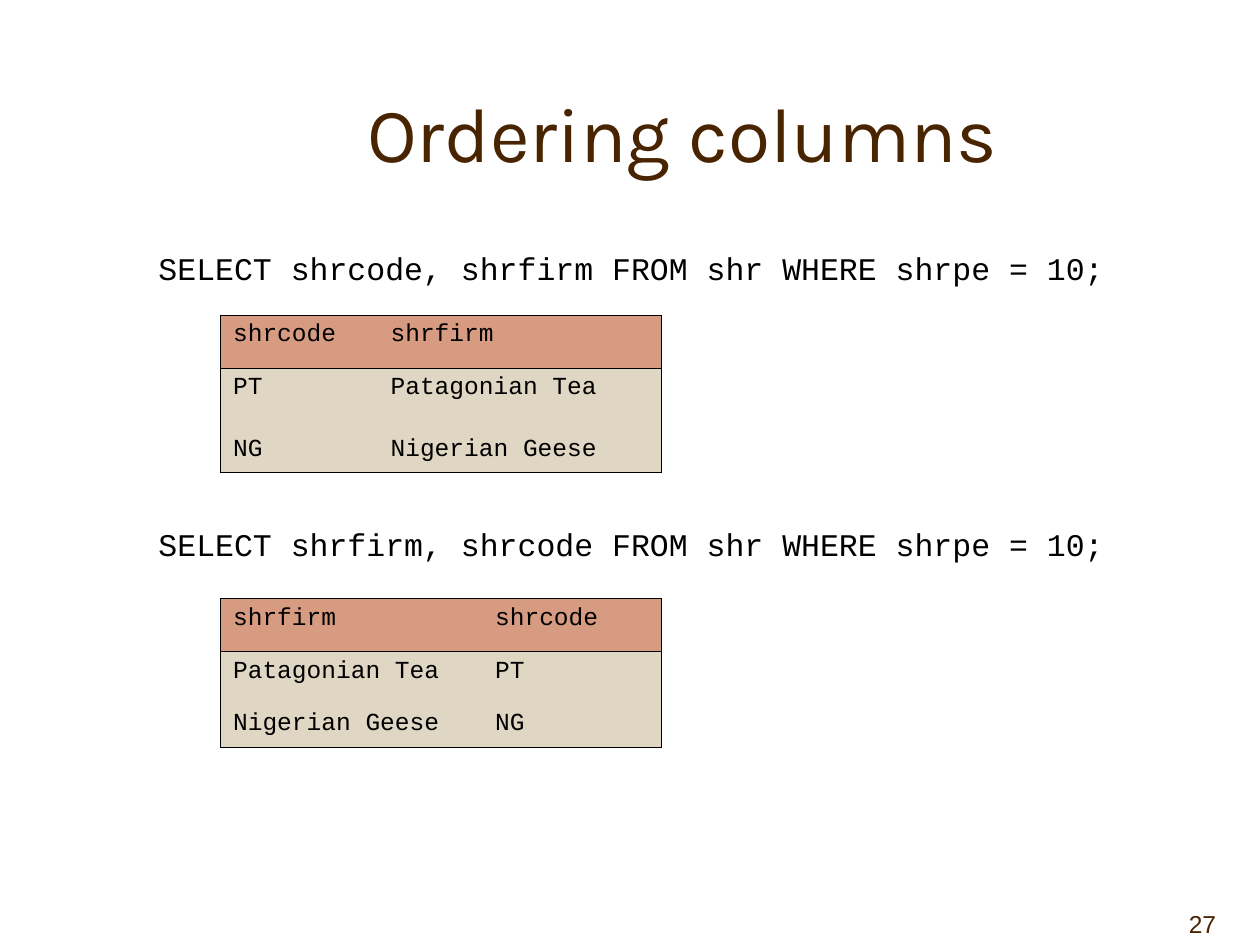
import pptx
import pptx.util
import pptx.dml.color
import pptx.enum.text
import pptx.oxml
import pptx.oxml.ns
from pptx.util import Inches, Pt

ALIGN = pptx.enum.text.PP_ALIGN
ANCHOR = pptx.enum.text.MSO_ANCHOR
BROWN, BLACK, CLAY, SAND = "482400", "000000", "D69B80", "DFD6C3"
MONO = "Courier New"


def color(code):
    return pptx.dml.color.RGBColor.from_string(code)


def style(par, font, size, code, align=ALIGN.LEFT, before=0):
    par.alignment = align
    par.space_before = Pt(before)
    for run in par.runs:
        run.font.name = font
        run.font.size = Pt(size)
        run.font.color.rgb = color(code)


def add_text(slide, box, text, anchor):
    frame = slide.shapes.add_textbox(*map(Inches, box)).text_frame
    frame.word_wrap = True
    frame.vertical_anchor = anchor
    frame.text = text
    return frame


def add_label(slide, box, text, font, size, align, anchor):
    frame = add_text(slide, box, text, anchor)
    style(frame.paragraphs[0], font, size, BROWN, align)


def add_queries(slide, box, queries, gap):
    frame = add_text(slide, box, "\n".join(queries), ANCHOR.TOP)
    for index, par in enumerate(frame.paragraphs):
        style(par, MONO, 18, BLACK, before=gap if index else 4.5)


def add_edges(cell, shown):
    props = cell._tc.get_or_add_tcPr()
    for side in "LRTB":
        fill = "<a:noFill/>"
        if side in shown:
            fill = f'<a:solidFill><a:srgbClr val="{BLACK}"/></a:solidFill>'
        props.append(pptx.oxml.parse_xml(
            f'<a:ln{side} {pptx.oxml.ns.nsdecls("a")} w="{Pt(0.45)}">{fill}</a:ln{side}>'))


def add_result(slide, left, top, widths, heights, rows):
    size = sum(widths), sum(heights)
    shape = slide.shapes.add_table(
        len(rows), len(widths), *map(Inches, (left, top, *size)))
    table = shape.table
    for column, width in zip(table.columns, widths):
        column.width = Inches(width)
    for row, height in zip(table.rows, heights):
        row.height = Inches(height)
    for r, values in enumerate(rows):
        for c, value in enumerate(values):
            cell = table.cell(r, c)
            cell.text = value
            style(cell.text_frame.paragraphs[0], MONO, 14, BLACK, before=3.5)
            ends = ("TB", "T", "B")[r]
            add_edges(cell, "LR"[c] + ends)
            cell.fill.solid()
            cell.fill.fore_color.rgb = color(SAND if r else CLAY)


def main():
    deck = pptx.Presentation()
    deck.slide_width, deck.slide_height = Inches(10), Inches(7.5)
    slide = deck.slides.add_slide(deck.slide_layouts[6])
    add_label(slide, (1.17, 0.42, 8.5, 1.25), "Ordering columns",
              "Karla", 44, ALIGN.CENTER, ANCHOR.MIDDLE)
    add_queries(slide, (1.16, 1.93, 8.5, 4.5), [
        "SELECT shrcode, shrfirm FROM shr WHERE shrpe = 10;",
        "SELECT shrfirm, shrcode FROM shr WHERE shrpe = 10;"], 136)
    rows = [("shrcode", "shrfirm"), ("PT", "Patagonian Tea"),
            ("NG", "Nigerian Geese")]
    add_result(slide, 1.75, 2.5, (1.25, 2.25), (0.42, 0.49, 0.34), rows)
    add_result(slide, 1.75, 4.75, (2.08, 1.42), (0.42, 0.42, 0.34),
               [row[::-1] for row in rows])
    add_label(slide, (8.5, 7, 1.25, 0.5), "27",
              "Arial", 14, ALIGN.RIGHT, ANCHOR.BOTTOM)
    deck.save("out.pptx")


if __name__ == "__main__":
    main()
